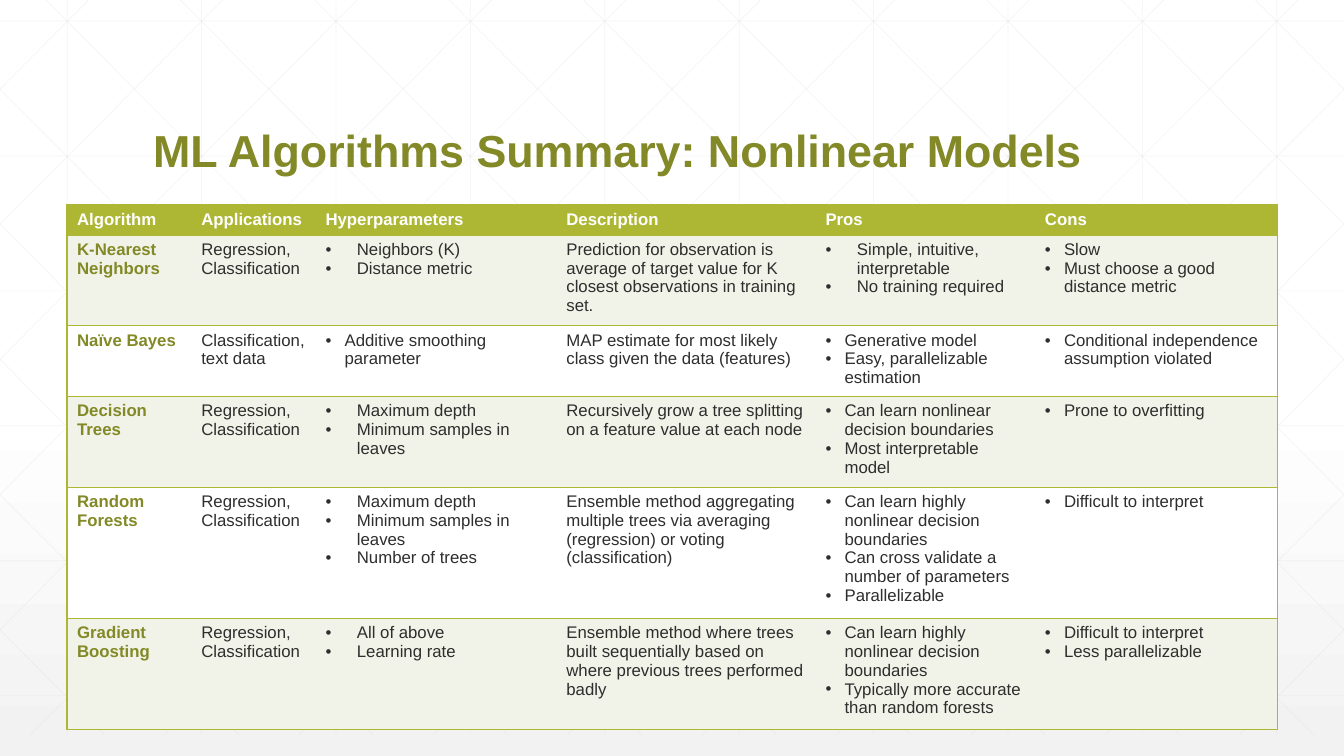
import pptx
import pptx.dml.color
import pptx.enum.shapes
import pptx.enum.text
import pptx.oxml.ns
import pptx.util
from lxml import etree

Cm = pptx.util.Cm
Pt = pptx.util.Pt
qn = pptx.oxml.ns.qn

WIDTH, HEIGHT = 33.87, 19.05
GRID_TOP, GRID_BOTTOM = -0.53, 18.52
GRID_STEP = WIDTH / 10
DIAGONAL_RUN = 18.94
NO_STYLE = "{2D5ABB26-0587-4C30-8999-92F81FD0307C}"

COLUMN_WIDTHS = [3.13, 3.13, 6.07, 6.53, 5.53, 6.11]
LINES_PER_ROW = [1, 4, 3, 4, 6, 5]
NARROW_INDENT, WIDE_INDENT = 0.48, 0.79


def color(value):
    return pptx.dml.color.RGBColor.from_string(value)


def bullets(*items, indent=NARROW_INDENT):
    """Return the cell content for a bulleted list: its indent and its items."""
    return indent, items


def wide_bullets(*items):
    return bullets(*items, indent=WIDE_INDENT)


HEADINGS = ["Algorithm", "Applications", "Hyperparameters", "Description", "Pros", "Cons"]
ALGORITHMS = [
    ["K-Nearest Neighbors", "Regression, Classification",
     wide_bullets("Neighbors (K)", "Distance metric"),
     "Prediction for observation is average of target value for K closest observations in training set.",
     wide_bullets("Simple, intuitive, interpretable", "No training required"),
     bullets("Slow", "Must choose a good distance metric")],
    ["Naïve Bayes", "Classification, text data",
     bullets("Additive smoothing parameter"),
     "MAP estimate for most likely class given the data (features)",
     bullets("Generative model", "Easy, parallelizable estimation"),
     bullets("Conditional independence assumption violated")],
    ["Decision Trees", "Regression, Classification",
     wide_bullets("Maximum depth", "Minimum samples in leaves"),
     "Recursively grow a tree splitting on a feature value at each node",
     bullets("Can learn nonlinear decision boundaries", "Most interpretable model"),
     bullets("Prone to overfitting")],
    ["Random Forests", "Regression, Classification",
     wide_bullets("Maximum depth", "Minimum samples in leaves", "Number of trees"),
     "Ensemble method aggregating multiple trees via averaging (regression) or voting (classification)",
     bullets("Can learn highly nonlinear decision boundaries",
             "Can cross validate a number of parameters", "Parallelizable"),
     bullets("Difficult to interpret")],
    ["Gradient Boosting", "Regression, Classification",
     wide_bullets("All of above", "Learning rate"),
     "Ensemble method where trees built sequentially based on where previous trees performed badly",
     bullets("Can learn highly nonlinear decision boundaries",
             "Typically more accurate than random forests"),
     bullets("Difficult to interpret", "Less parallelizable")],
]


def write(paragraph, text, size=12, text_color="2D2E2D", bold=False, spacing=None, indent=None):
    """Put formatted text in a paragraph; an indent in cm makes it a bullet."""
    run = paragraph.add_run()
    run.text = text
    run.font.name = "Arial"
    run.font.size = Pt(size)
    run.font.bold = bold
    run.font.color.rgb = color(text_color)
    if spacing:
        paragraph.line_spacing = spacing
    if indent:
        properties = paragraph._p.get_or_add_pPr()
        properties.set("marL", str(Cm(indent)))
        properties.set("indent", str(-Cm(indent)))
        etree.SubElement(properties, qn("a:buFont"), typeface="Arial")
        etree.SubElement(properties, qn("a:buChar"), char="•")


class SlideBuilder:
    green, dark_green, band, grid = "AEB733", "828926", "F2F3E8", "D9D9D9"
    white, dark = "FFFFFF", "2D2E2D"

    def __init__(self, presentation):
        self.slide = presentation.slides.add_slide(presentation.slide_layouts[6])

    def background(self):
        fill = self.slide.background.fill
        fill.gradient()
        fill.gradient_angle = 270
        for stop, position, value in zip(fill.gradient_stops, (0.53, 1), (self.white, "F2F2F2")):
            stop.position = position
            stop.color.rgb = color(value)

    def grid_line(self, x1, y1, x2, y2):
        line = self.slide.shapes.add_connector(
            pptx.enum.shapes.MSO_CONNECTOR.STRAIGHT, Cm(x1), Cm(y1), Cm(x2), Cm(y2))
        line.line.width = Pt(0.5)
        line.line.color.rgb = color(self.grid)
        properties = line._element.spPr
        value = properties.find(".//" + qn("a:srgbClr"))
        etree.SubElement(value, qn("a:alpha"), val="25000")
        etree.SubElement(properties, qn("a:effectLst"))

    def grid_pattern(self):
        for column in range(10):
            x = (column + 0.5) * GRID_STEP
            self.grid_line(x, GRID_TOP, x, GRID_BOTTOM)
        for row in range(6):
            y = 0.53 + row * 3.4
            self.grid_line(0, y, WIDTH, y)
        slope = (GRID_BOTTOM - GRID_TOP) / DIAGONAL_RUN
        for step in range(-5, 10):
            start = 0.63 + step * GRID_STEP
            left, right = max(start, 0), min(start + DIAGONAL_RUN, WIDTH)
            y1, y2 = (GRID_TOP + (x - start) * slope for x in (left, right))
            self.grid_line(left, y1, right, y2)
            self.grid_line(WIDTH - left, y1, WIDTH - right, y2)

    def title(self, text):
        box = self.slide.shapes.add_textbox(Cm(3.61), Cm(1.4), Cm(29.06), Cm(3.18))
        frame = box.text_frame
        frame.word_wrap = True
        frame.vertical_anchor = pptx.enum.text.MSO_ANCHOR.BOTTOM
        write(frame.paragraphs[0], text, size=32, text_color=self.dark_green,
              bold=True, spacing=0.9)

    def border(self, cell, sides):
        for side in sides:
            line = etree.SubElement(cell._tc.get_or_add_tcPr(), qn("a:ln" + side), w=str(Pt(1)))
            fill = etree.SubElement(line, qn("a:solidFill"))
            etree.SubElement(fill, qn("a:srgbClr"), val=self.green)

    def cell(self, cell, content, fill, sides, **style):
        self.border(cell, sides)
        cell.fill.solid()
        cell.fill.fore_color.rgb = color(fill)
        indent, items = (None, [content]) if isinstance(content, str) else content
        frame = cell.text_frame
        for index, item in enumerate(items):
            paragraph = frame.add_paragraph() if index else frame.paragraphs[0]
            write(paragraph, item, indent=indent, **style)

    def table(self, rows):
        heights = [0.25 + 0.47 * lines for lines in LINES_PER_ROW]
        table = self.slide.shapes.add_table(
            len(rows), len(COLUMN_WIDTHS), Cm(1.69), Cm(5.16),
            Cm(sum(COLUMN_WIDTHS)), Cm(sum(heights))).table
        table._tbl.tblPr.find(qn("a:tableStyleId")).text = NO_STYLE
        for column, width in zip(table.columns, COLUMN_WIDTHS):
            column.width = Cm(width)
        last = len(COLUMN_WIDTHS) - 1
        for r, (row, height) in enumerate(zip(rows, heights)):
            table.rows[r].height = Cm(height)
            fill = self.green if r == 0 else self.band if r % 2 else self.white
            for c, content in enumerate(row):
                sides = "L" * (c == 0) + "R" * (c == last) + "TB"
                text_color = self.white if r == 0 else self.dark_green if c == 0 else self.dark
                self.cell(table.cell(r, c), content, fill, sides,
                          text_color=text_color, bold=r == 0 or c == 0)


def main():
    presentation = pptx.Presentation()
    presentation.slide_width = Cm(WIDTH)
    presentation.slide_height = Cm(HEIGHT)
    builder = SlideBuilder(presentation)
    builder.background()
    builder.grid_pattern()
    builder.title("ML Algorithms Summary: Nonlinear Models")
    builder.table([HEADINGS] + ALGORITHMS)
    presentation.save("out.pptx")


if __name__ == "__main__":
    main()
